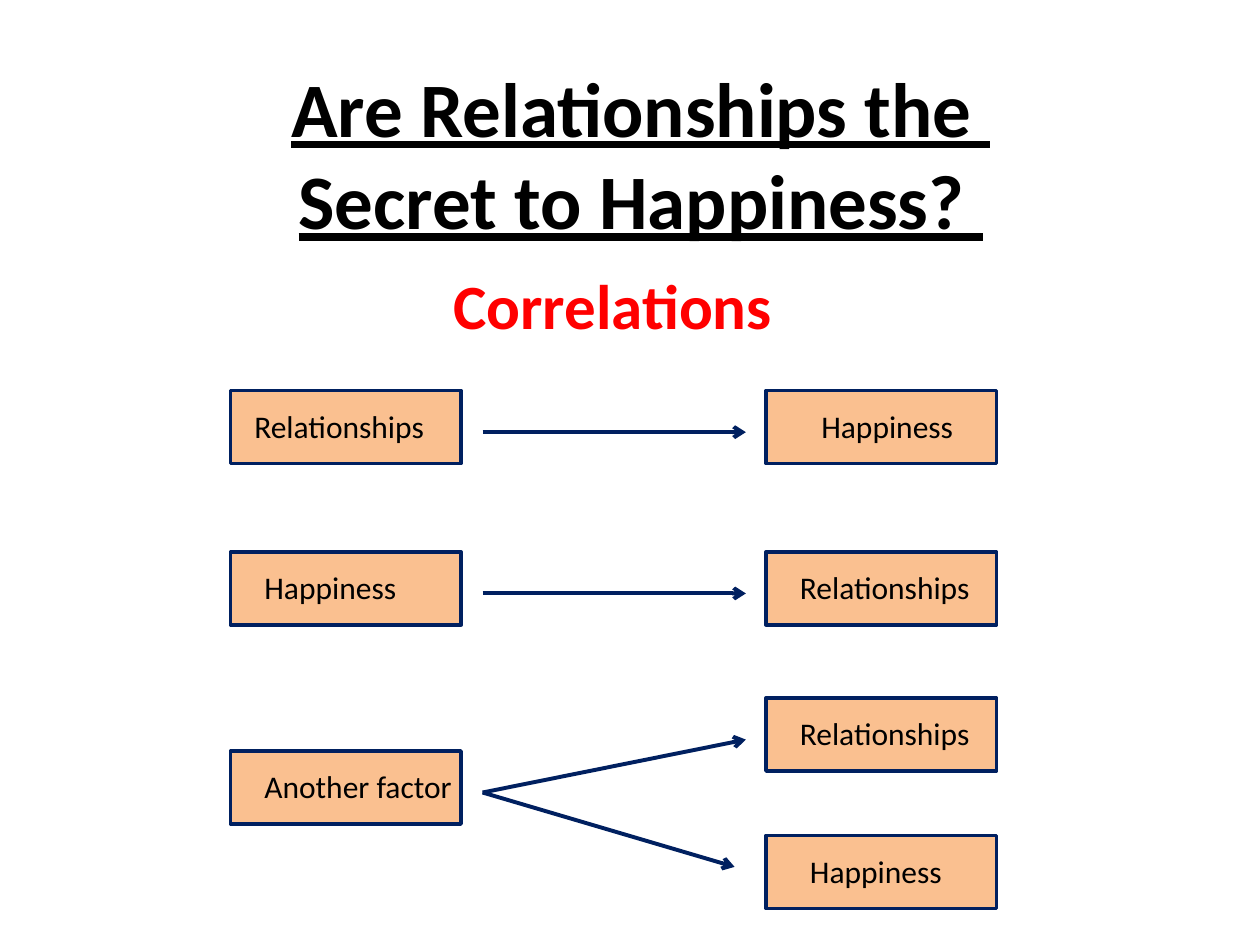
from lxml import etree
from pptx import Presentation
from pptx.dml.color import RGBColor
from pptx.enum.shapes import MSO_CONNECTOR as Connector, MSO_SHAPE as Shape
from pptx.enum.text import MSO_ANCHOR as Anchor, MSO_AUTO_SIZE as AutoSize, PP_ALIGN as Align
from pptx.oxml.ns import qn
from pptx.util import Inches, Pt

COLORS = {"text": "000000", "accent": "FF0000", "box": "FAC090", "line": "002060"}
BOX_WIDTH, BOX_HEIGHT = 1.83, 0.58
CAUSE_LEFT, EFFECT_LEFT = 1.83, 6.08
ARROW_LEFT, ARROW_RIGHT = 3.83, 5.92
LABEL_DROP, ARROW_DROP = 0.08, 0.33


def color(name):
    return RGBColor.from_string(COLORS[name])


class SlideBuilder:
    font_name = "Calibri"

    def __init__(self, slide):
        self.slide = slide
        self.shapes = slide.shapes

    def start_group(self):
        self.shapes = self.slide.shapes.add_group_shape().shapes

    def end_group(self):
        self.shapes = self.slide.shapes

    def format_font(self, font, color_name, **values):
        for name, value in {"name": self.font_name, **values}.items():
            setattr(font, name, value)
        font.color.rgb = color(color_name)

    def title(self, text, left, top, width, height):
        shape = self.slide.shapes.title
        place = {"left": left, "top": top, "width": width, "height": height}
        for name, value in place.items():
            setattr(shape, name, Inches(value))
        frame = shape.text_frame
        frame.text = text
        frame.auto_size = AutoSize.NONE
        frame.vertical_anchor = Anchor.MIDDLE
        paragraph = frame.paragraphs[0]
        paragraph.alignment = Align.CENTER
        for run in paragraph.runs:
            self.format_font(run.font, "text", size=Pt(44), bold=True, underline=True)

    def label(self, text, left, top, width, height=0.4, size=18,
              color_name="text", bold=False, wrap=True):
        shape = self.shapes.add_textbox(*map(Inches, (left, top, width, height)))
        frame = shape.text_frame
        frame.word_wrap = wrap
        frame.auto_size = AutoSize.SHAPE_TO_FIT_TEXT
        frame.text = text
        self.format_font(frame.paragraphs[0].runs[0].font, color_name,
                         size=Pt(size), bold=bold)

    def box(self, left, top):
        place = map(Inches, (left, top, BOX_WIDTH, BOX_HEIGHT))
        shape = self.shapes.add_shape(Shape.RECTANGLE, *place)
        shape.shadow.inherit = False
        shape.fill.solid()
        shape.fill.fore_color.rgb = color("box")
        shape.line.color.rgb = color("line")
        shape.line.width = Pt(2)

    def arrow(self, start_x, start_y, end_x, end_y):
        place = map(Inches, (start_x, start_y, end_x, end_y))
        connector = self.shapes.add_connector(Connector.STRAIGHT, *place)
        connector.line.color.rgb = color("line")
        connector.line.width = Pt(2.25)
        line = connector.line._get_or_add_ln()
        etree.SubElement(line, qn("a:tailEnd"), type="arrow")
        etree.SubElement(connector._element.spPr, qn("a:effectLst"))

    def correlation(self, cause, effects):
        """Draw one cause with an arrow to each effect."""
        self.start_group()
        text, top, label_left, label_width = cause
        self.box(CAUSE_LEFT, top)
        for _, effect_top, _, _, _ in effects:
            self.box(EFFECT_LEFT, effect_top)
        for _, _, _, _, (end_x, end_y) in effects:
            self.arrow(ARROW_LEFT, top + ARROW_DROP, end_x, end_y)
        self.label(text, label_left, top + LABEL_DROP, label_width)
        for effect, effect_top, left, width, _ in effects:
            self.label(effect, left, effect_top + LABEL_DROP, width)
        self.end_group()


# Cause: text, box top, label left, label width; effects add the arrow's end
CORRELATIONS = [
    (("Relationships", 3.1, 1.92, 1.75),
     [("Happiness", 3.1, 6.42, 1.3, (ARROW_RIGHT, 3.43))]),
    (("Happiness", 4.38, 2, 1.58),
     [("Relationships", 4.38, 6.25, 1.58, (ARROW_RIGHT, 4.71))]),
    (("Another factor", 5.96, 2, 1.75),
     [("Relationships", 5.54, 6.25, 1.67, (ARROW_RIGHT, 5.87)),
      ("Happiness", 6.63, 6.33, 1.58, (5.83, 6.88))]),
]


def main():
    presentation = Presentation()
    presentation.slide_width, presentation.slide_height = Inches(10), Inches(7.5)
    slide = presentation.slides.add_slide(presentation.slide_layouts[5])
    builder = SlideBuilder(slide)

    # Headings
    builder.title("Are Relationships the \vSecret to Happiness? ", 0.42, 0.67, 9.33, 1.08)
    builder.label("Correlations", 3.5, 2.07, 2.74, 0.7, size=36,
                  color_name="accent", bold=True, wrap=False)

    # Diagrams
    for cause, effects in CORRELATIONS:
        builder.correlation(cause, effects)

    presentation.save("out.pptx")


if __name__ == "__main__":
    main()
